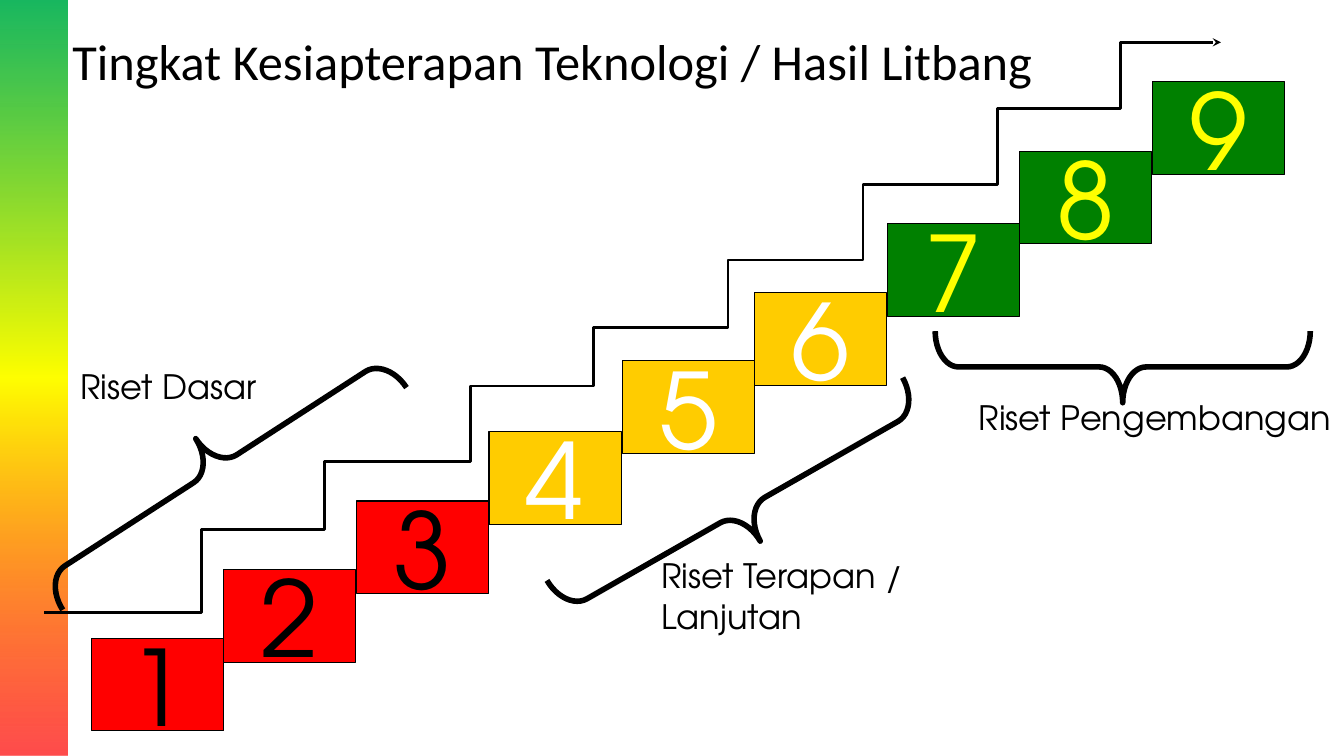
from pptx import Presentation
from pptx.dml.color import RGBColor
from pptx.enum.shapes import MSO_SHAPE as Shape
from pptx.enum.text import MSO_ANCHOR as Anchor, PP_ALIGN as Align
from pptx.oxml import parse_xml
from pptx.oxml.ns import nsdecls, qn
from pptx.util import Pt

PX = 9144
BODY_FONT = "TeX Gyre Adventor"


def color(hex_value):
    return RGBColor.from_string(hex_value)


def write(shape, text, size=24, font=BODY_FONT, fill="000000", align=Align.LEFT,
          anchor=Anchor.TOP, wrap=True, spacing=1.0):
    frame = shape.text_frame
    frame.word_wrap = wrap
    frame.vertical_anchor = anchor
    paragraph = frame.paragraphs[0]
    paragraph.alignment = align
    paragraph.line_spacing = spacing
    run = paragraph.add_run()
    run.text = text
    run.font.size = Pt(size)
    run.font.name = font
    run.font.color.rgb = color(fill)


presentation = Presentation()
presentation.slide_width = 1333 * PX
presentation.slide_height = 750 * PX
slide = presentation.slides.add_slide(presentation.slide_layouts[6])
shapes = slide.shapes

side_bar = shapes.add_shape(Shape.RECTANGLE, 0, 0, 67 * PX, 750 * PX)
side_bar.shadow.inherit = False
side_bar.line.fill.background()
side_bar.fill.background()
properties = side_bar._element.spPr
gradient = parse_xml(
    f'<a:gradFill {nsdecls("a")} rotWithShape="1"><a:gsLst>'
    '<a:gs pos="0"><a:srgbClr val="00B050"><a:alpha val="90000"/></a:srgbClr></a:gs>'
    '<a:gs pos="50000"><a:srgbClr val="FFFF00"/></a:gs>'
    '<a:gs pos="100000"><a:srgbClr val="FF0000"><a:alpha val="70000"/></a:srgbClr></a:gs>'
    '</a:gsLst><a:lin ang="5400000" scaled="0"/></a:gradFill>'
)
properties.replace(properties.find(qn("a:noFill")), gradient)

title = shapes.add_textbox(62 * PX, 31 * PX, 1044 * PX, 65 * PX)
write(title, "Tingkat Kesiapterapan Teknologi / Hasil Litbang", size=36, font="Calibri",
      anchor=Anchor.MIDDLE, spacing=0.9)

phases = [("FF0000", "000000"), ("FFCC00", "FFFFFF"), ("008000", "FFFF00")]
level_tops = [633, 565, 497, 428, 358, 290, 222, 150, 81]
for index, top in enumerate(level_tops):
    box_fill, digit_fill = phases[index // 3]
    left = 91 + index * 263 // 2
    level = shapes.add_shape(Shape.RECTANGLE, left * PX, top * PX, 131 * PX, 92 * PX)
    level.shadow.inherit = False
    level.fill.solid()
    level.fill.fore_color.rgb = color(box_fill)
    level.line.color.rgb = color("000000")
    level.line.width = Pt(0.75)
    write(level, str(index + 1), size=75, fill=digit_fill, align=Align.CENTER,
          anchor=Anchor.MIDDLE, wrap=False)

stair_ends = [(200, 608), (322, 525), (467, 458), (589, 383), (722, 325),
              (856, 258), (989, 183), (1111, 108), (1211, 42)]
corners = []
previous_x = 44
for x, y in stair_ends:
    corners += [(previous_x, y), (x, y)]
    previous_x = x
builder = shapes.build_freeform(*corners[0], scale=PX)
builder.add_line_segments(corners[1:], close=False)
staircase = builder.convert_to_shape()
staircase.shadow.inherit = False
staircase.fill.background()
staircase.line.color.rgb = color("000000")
staircase.line.width = Pt(2)
staircase.line._get_or_add_ln().append(
    parse_xml(f'<a:tailEnd {nsdecls("a")} type="stealth"/>'))

braces = [
    (701, 303, 406, 240.3, 0.358, False),
    (178, 262, 406, 57.1, 0.358, True),
    (1078, 178, 372, 270, 0.328, False),
]
for left, top, height, rotation, curve, flipped in braces:
    brace = shapes.add_shape(Shape.LEFT_BRACE, left * PX, top * PX, 71 * PX, height * PX)
    brace.shadow.inherit = False
    brace.fill.background()
    brace.line.color.rgb = color("000000")
    brace.line.width = Pt(4)
    brace.adjustments[0] = curve
    brace.rotation = rotation
    if flipped:
        brace._element.spPr.xfrm.set("flipV", "1")

phase_labels = [
    ("Riset Dasar", 70, 358, 50),
    ("Riset Terapan / Lanjutan", 646, 546, 91),
    ("Riset Pengembangan", 961, 389, 50),
]
for text, left, top, height in phase_labels:
    label = shapes.add_textbox(left * PX, top * PX, 378 * PX, height * PX)
    write(label, text)

presentation.save("out.pptx")
